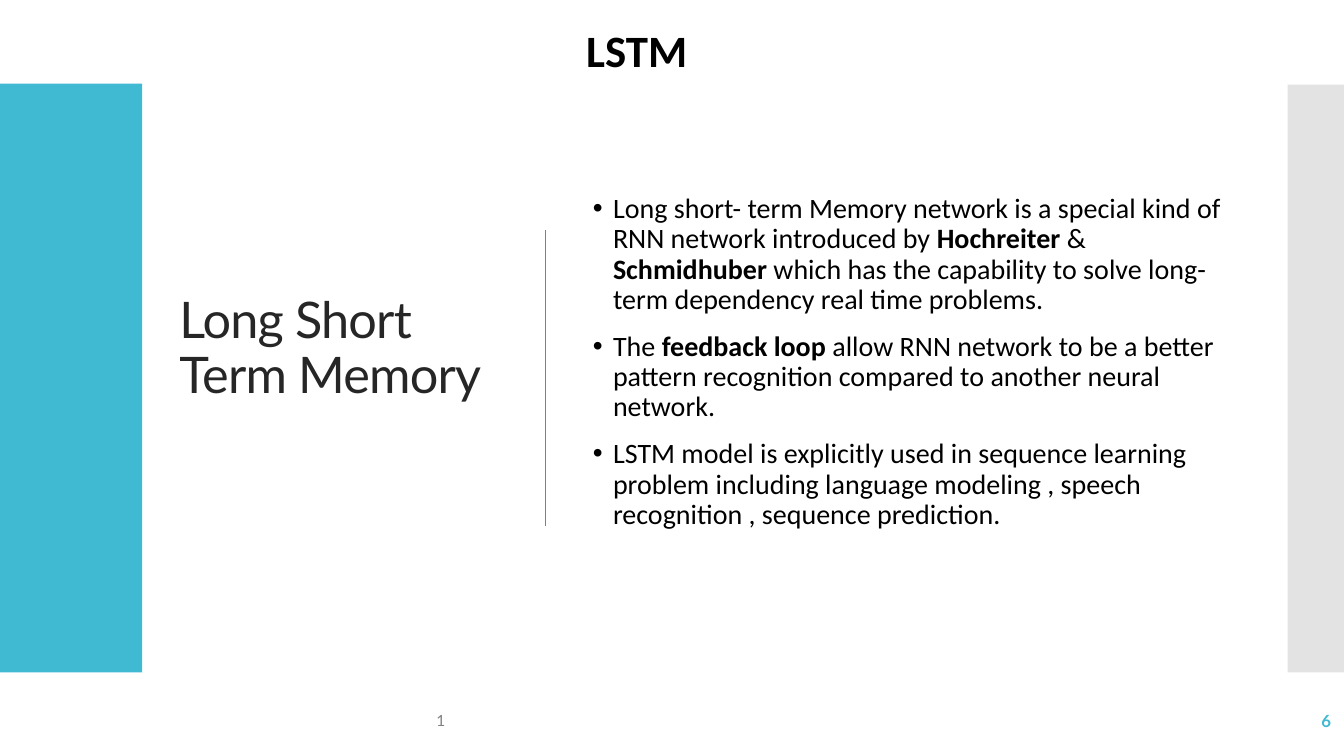
from lxml import etree
from pptx import Presentation
from pptx import util as u
from pptx.dml.color import RGBColor
from pptx.enum import shapes, text
from pptx.oxml.ns import qn

TEAL, GREY, LIGHT_GREY = "40BAD2", "808080", "E3E3E3"
BLACK, CHARCOAL, WHITE = "000000", "262626", "FFFFFF"
HEADING_FONT, BODY_FONT = "Lato", "Calibri"


def color(value):
    return RGBColor.from_string(value)


class SlideBuilder:
    """Holds the slide and draws each kind of element in one style."""

    def __init__(self, slide):
        self.slide = slide
        slide.background.fill.solid()
        slide.background.fill.fore_color.rgb = color(WHITE)

    def place(self, shape, left, top, width, height):
        shape.left, shape.top = u.Inches(left), u.Inches(top)
        shape.width, shape.height = u.Inches(width), u.Inches(height)

    def format_run(self, run, size, font, hex_color, bold=False):
        run.font.size = u.Pt(size)
        run.font.name = font
        run.font.bold = bold
        run.font.color.rgb = color(hex_color)

    def prepare_frame(self, frame, anchor, bottom=0.05):
        frame.word_wrap = True
        frame.auto_size = text.MSO_AUTO_SIZE.NONE
        frame.vertical_anchor = anchor
        frame.margin_bottom = u.Inches(bottom)

    def band(self, left, top, width, height, fill):
        shape = self.slide.shapes.add_shape(
            shapes.MSO_SHAPE.RECTANGLE, u.Inches(left), u.Inches(top),
            u.Inches(width), u.Inches(height))
        shape.shadow.inherit = False
        shape.fill.solid()
        shape.fill.fore_color.rgb = color(fill)
        shape.line.fill.background()

    def vertical_rule(self, left, top, bottom, hex_color):
        rule = self.slide.shapes.add_connector(
            shapes.MSO_CONNECTOR.STRAIGHT, u.Inches(left), u.Inches(top),
            u.Inches(left), u.Inches(bottom))
        rule.line.color.rgb = color(hex_color)
        rule.line.width = u.Pt(1)
        etree.SubElement(rule._element.spPr, qn("a:effectLst"))

    def title(self, words, *box):
        shape = self.slide.shapes.title
        self.place(shape, *box)
        frame = shape.text_frame
        frame.text = words
        self.prepare_frame(frame, text.MSO_ANCHOR.MIDDLE, bottom=0.59)
        paragraph = frame.paragraphs[0]
        paragraph.alignment = text.PP_ALIGN.LEFT
        paragraph.line_spacing = 0.9
        run = paragraph.runs[0]
        self.format_run(run, 36, HEADING_FONT, CHARCOAL)
        run.font._element.set("spc", "-60")

    def bullets(self, items, *box):
        shape = self.slide.placeholders[1]
        self.place(shape, *box)
        frame = shape.text_frame
        self.prepare_frame(frame, text.MSO_ANCHOR.MIDDLE, bottom=0.34)
        for index, pieces in enumerate(items):
            paragraph = frame.add_paragraph() if index else frame.paragraphs[0]
            paragraph.line_spacing = 0.9
            paragraph.space_before = u.Pt(12)
            paragraph.space_after = u.Pt(0)
            for words, bold in pieces:
                run = paragraph.add_run()
                run.text = words
                self.format_run(run, 20, BODY_FONT, BLACK, bold)
            properties = paragraph._p.get_or_add_pPr()
            properties.set("marL", str(u.Inches(0.2)))
            properties.set("indent", str(-u.Inches(0.2)))
            etree.SubElement(properties, qn("a:buFont")).set("typeface", "Arial")
            etree.SubElement(properties, qn("a:buChar")).set("char", "•")

    def label(self, words, box, size, font, hex_color, bold=False,
              align=text.PP_ALIGN.LEFT, anchor=text.MSO_ANCHOR.MIDDLE):
        shape = self.slide.shapes.add_textbox(*map(u.Inches, box))
        frame = shape.text_frame
        frame.text = words
        self.prepare_frame(frame, anchor)
        paragraph = frame.paragraphs[0]
        paragraph.alignment = align
        self.format_run(paragraph.runs[0], size, font, hex_color, bold)


presentation = Presentation()
presentation.slide_width = u.Inches(13.33)
presentation.slide_height = u.Inches(7.5)
builder = SlideBuilder(
    presentation.slides.add_slide(presentation.slide_layouts[1]))

# Side bands and divider
builder.band(0, 0.83, 1.41, 5.84, TEAL)
builder.band(12.77, 0.84, 0.56, 5.83, LIGHT_GREY)
builder.vertical_rule(5.41, 2.28, 5.22, GREY)

# Title and bullet list
builder.title("Long Short Term Memory", 1.68, 0.94, 3.36, 5.6)
builder.bullets([
    [("Long short- term Memory network is a special kind of RNN network "
      "introduced by ", False),
     ("Hochreiter ", True), ("& ", False), ("Schmidhuber", True),
     (" which has the capability to solve long-term dependency real time "
      "problems.", False)],
    [("The ", False), ("feedback loop", True),
     (" allow RNN network to be a better pattern recognition compared to "
      "another neural network.", False)],
    [("LSTM model is explicitly used in sequence learning problem including "
      "language modeling , speech recognition , sequence prediction.", False)],
], 5.78, 0.94, 6.46, 5.6)

# Heading and footer
builder.label("LSTM", (5.62, 0.18, 1.39, 0.64), 32, BODY_FONT, BLACK, True,
              text.PP_ALIGN.CENTER, text.MSO_ANCHOR.TOP)
builder.label("1", (4.23, 6.95, 6.46, 0.4), 11, HEADING_FONT, GREY)
builder.label("6", (11.63, 6.95, 1.67, 0.4), 12, HEADING_FONT, TEAL, True,
              text.PP_ALIGN.RIGHT)

presentation.save("out.pptx")
